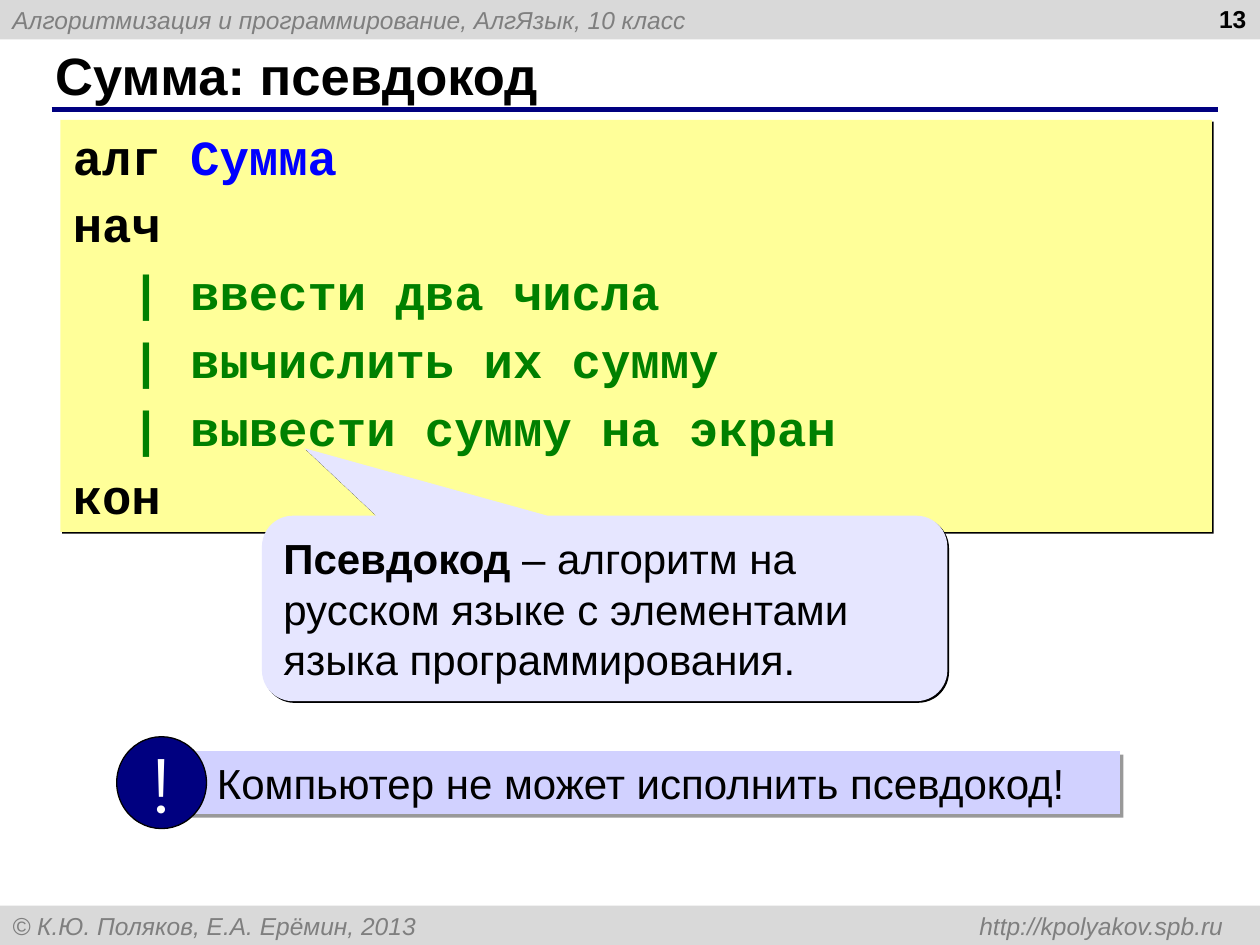
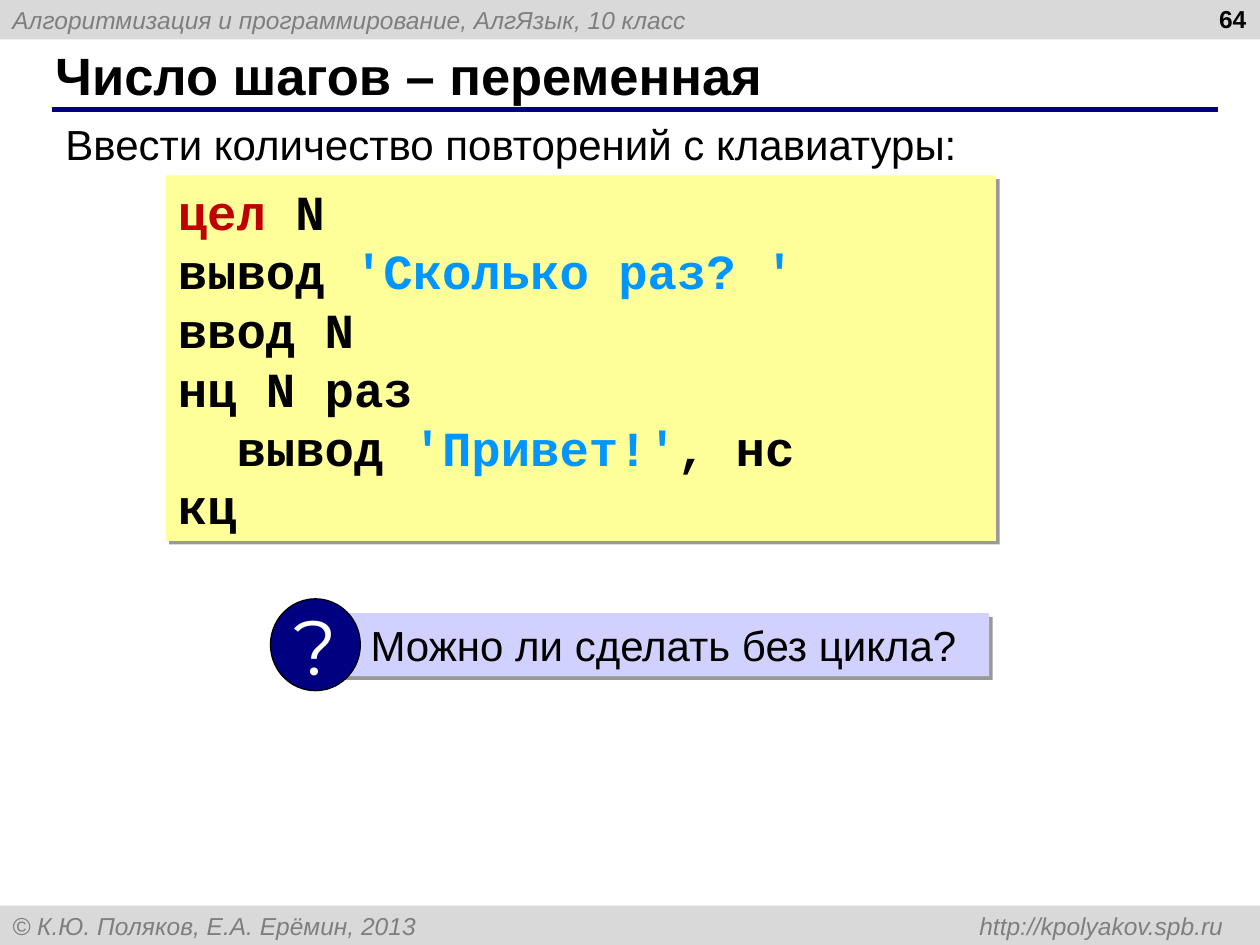
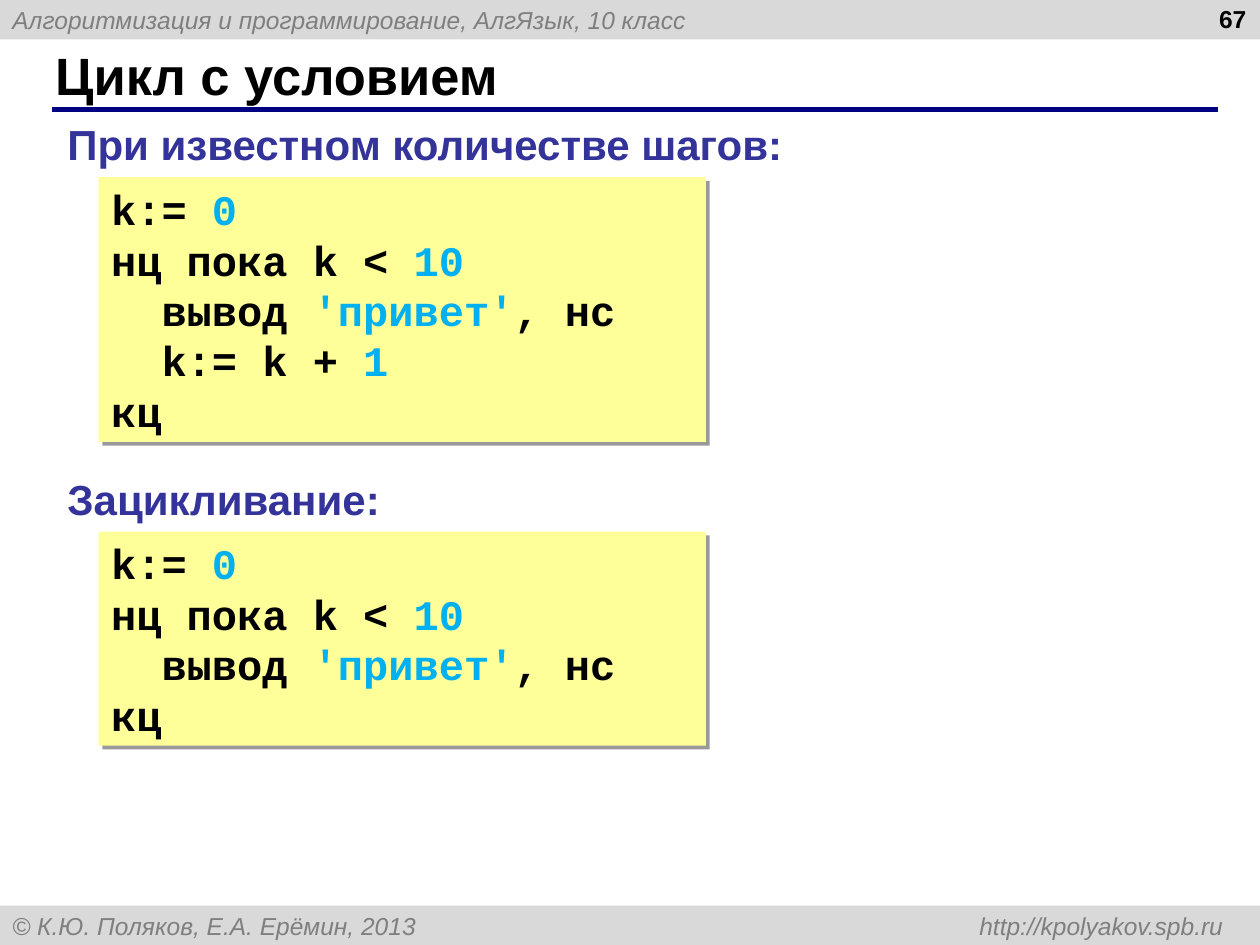
from lxml import etree
from pptx import Presentation
from pptx.dml.color import RGBColor
from pptx.enum.shapes import MSO_CONNECTOR, MSO_SHAPE as SHAPE
from pptx.enum.text import MSO_ANCHOR as ANCHOR, PP_ALIGN as ALIGN
from pptx.oxml.ns import qn
from pptx.util import Pt

PAGE_W, PAGE_H, BAND_H = 720, 540, 22.5
SANS, MONO, ICON = "Arial", "Courier New", "Montserrat"
BLACK, WHITE, NAVY = "000000", "FFFFFF", "000080"
BAND, BAND_TEXT = "D9D9D9", "7F7F7F"
CODE_FILL, CALLOUT_FILL, NOTICE_FILL = "FFFF99", "E6E6FF", "D1D1FF"
HEADING, KEYWORD, NAME = "333399", "C00000", "0000FF"
COMMENT, STRING, LITERAL = "008000", "0095FF", "00B0F0"

COURSE = "Алгоритмизация и программирование, АлгЯзык, 10 класс"
FOOTER = "© К.Ю. Поляков, Е.А. Ерёмин, 2013\thttp://kpolyakov.spb.ru"
SOFT = dict(distance=3, opacity=40)
HARD = dict(distance=1.4, opacity=100)


def color(hex_code):
    return RGBColor.from_string(hex_code)


def write(shape, lines, size=24, font=SANS, ink=BLACK, bold=False, italic=False,
          align=ALIGN.LEFT, anchor=ANCHOR.TOP, gap=0, indent=0, wrap=True, right_tab=None):
    """Each line is a list of spans: plain text or (text, format)."""
    frame = shape.text_frame
    frame.word_wrap = wrap
    frame.vertical_anchor = anchor
    frame.margin_left = Pt(7.2 + indent)
    for number, line in enumerate(lines):
        para = frame.add_paragraph() if number else frame.paragraphs[0]
        para.alignment = align
        if number and gap:
            para.space_before = Pt(gap)
        if right_tab:
            tabs = etree.SubElement(para._p.get_or_add_pPr(), qn("a:tabLst"))
            etree.SubElement(tabs, qn("a:tab"), pos=str(Pt(right_tab)), algn="r")
        for part in line:
            words, look = (part, {}) if isinstance(part, str) else part
            span = para.add_run()
            span.text = words
            span.font.name, span.font.size = font, Pt(size)
            span.font.bold = look.get("bold", bold)
            span.font.italic = italic
            span.font.color.rgb = color(look.get("ink", ink))


def add_panel(page, kind, box, fill, outline=None, shadow=None):
    panel = page.shapes.add_shape(kind, *map(Pt, box))
    panel.fill.solid()
    panel.fill.fore_color.rgb = color(fill)
    if outline:
        panel.line.color.rgb = color(outline)
        panel.line.width = Pt(0.75)
    else:
        panel.line.fill.background()
    panel.shadow.inherit = False
    if shadow:
        effects = panel._element.spPr.find(qn("a:effectLst"))
        cast = etree.SubElement(effects, qn("a:outerShdw"), blurRad="0", algn="ctr",
                                dist=str(Pt(shadow["distance"])), dir=str(45 * 60000),
                                rotWithShape="0")
        tint = etree.SubElement(cast, qn("a:srgbClr"), val=BLACK)
        etree.SubElement(tint, qn("a:alpha"), val=str(shadow["opacity"] * 1000))
    return panel


def add_label(page, box, text, **look):
    write(page.shapes.add_textbox(*map(Pt, box)), [[text]], **look)


def add_band(page, top, text, **look):
    band = add_panel(page, SHAPE.RECTANGLE, (0, top, PAGE_W, BAND_H), BAND)
    write(band, [[text]], size=14, ink=BAND_TEXT, italic=True, anchor=ANCHOR.MIDDLE, **look)


def add_page(deck, title, number):
    page = deck.slides.add_slide(deck.slide_layouts[6])
    # Bands at the top and bottom edges
    add_band(page, 0, COURSE)
    add_band(page, PAGE_H - BAND_H, FOOTER, right_tab=692)
    # Rule under the title
    rule = page.shapes.add_connector(MSO_CONNECTOR.STRAIGHT, Pt(29.5), Pt(62.6), Pt(696.2), Pt(62.6))
    rule.line.color.rgb = color(NAVY)
    rule.line.width = Pt(3)
    etree.SubElement(rule._element.spPr, qn("a:effectLst"))
    # Title and page number
    add_label(page, (24.5, 23.8, 659.5, 37.4), title, size=30, bold=True, anchor=ANCHOR.MIDDLE)
    add_label(page, (551.5, -1.4, 167.8, 37.4), str(number), size=14, bold=True, align=ALIGN.RIGHT)
    return page


def add_code(page, box, lines, shadow=SOFT, **look):
    panel = add_panel(page, SHAPE.RECTANGLE, box, CODE_FILL, shadow=shadow)
    write(panel, lines, font=MONO, bold=True, **look)


def add_callout(page, box, line, tip):
    bubble = add_panel(page, SHAPE.ROUNDED_RECTANGULAR_CALLOUT, box, CALLOUT_FILL, shadow=HARD)
    for position, value in enumerate((*tip, 0.167)):
        bubble.adjustments[position] = value
    write(bubble, [line], anchor=ANCHOR.MIDDLE)


def add_notice(page, left, top, width, sign, text):
    # Bar with the message, then the round badge over its left end
    bar = add_panel(page, SHAPE.RECTANGLE, (left + 36.7, top + 8.2, width - 36.7, 36),
                    NOTICE_FILL, shadow=SOFT)
    write(bar, [[text]], indent=13.3)
    badge = add_panel(page, SHAPE.OVAL, (left, top, 51.3, 52.5), NAVY, outline=BLACK)
    write(badge, [[sign]], size=44, font=ICON, ink=WHITE, align=ALIGN.CENTER,
          anchor=ANCHOR.MIDDLE, wrap=False)


def add_heading(page, left, top, width, text, **look):
    add_label(page, (left, top, width, 36), text, wrap=False, **look)


def pseudocode_page(deck):
    page = add_page(deck, "Сумма: псевдокод", 13)
    steps = ["ввести два числа", "вычислить их сумму", "вывести сумму на экран"]
    lines = [["алг ", ("Сумма", dict(ink=NAME))], ["нач"],
             *[[(f"  | {step}", dict(ink=COMMENT))] for step in steps], ["кон"]]
    add_code(page, (34.5, 68.5, 658, 235.5), lines, shadow=HARD, size=28, gap=5.2)
    add_callout(page, (149.7, 294.7, 391.7, 106),
                [("Псевдокод", dict(bold=True)),
                 " – алгоритм на русском языке с элементами языка программирования."],
                tip=(-0.438, -0.864))
    add_notice(page, 66.7, 421, 573.2, "!", "Компьютер не может исполнить псевдокод!")


def variable_steps_page(deck):
    page = add_page(deck, "Число шагов – переменная", 64)
    text = dict(ink=STRING)
    lines = [[("цел ", dict(ink=KEYWORD)), "N"],
             ["вывод ", ("'Сколько раз? '", text)],
             ["ввод N"],
             ["нц N раз"],
             ["  вывод ", ("'Привет!'", text), ", нс"],
             ["кц"]]
    add_code(page, (94.6, 100.3, 474.5, 208.8), lines, size=28)
    add_heading(page, 30.3, 64.3, 525.6, "Ввести количество повторений с клавиатуры:")
    add_notice(page, 154.6, 342.2, 410.6, "?", "Можно ли сделать без цикла?")


def while_loop_page(deck):
    page = add_page(deck, "Цикл с условием", 67)
    value = dict(ink=LITERAL)
    start = [["k:= ", ("0", value)],
             ["нц пока k < ", ("10", value)],
             ["  вывод ", ("'привет'", value), ", нс"]]
    step, end = ["  k:= k + ", ("1", value)], ["кц"]
    examples = [(64.3, 425.5, "При известном количестве шагов:", [*start, step, end], 151.3),
                (266.8, 193, "Зацикливание:", [*start, end], 122.4)]
    for top, width, heading, lines, height in examples:
        add_code(page, (56.4, top + 37, 347, height), lines, anchor=ANCHOR.MIDDLE)
        add_heading(page, 31.4, top, width, heading, ink=HEADING, bold=True)


def main():
    deck = Presentation()
    deck.slide_width, deck.slide_height = Pt(PAGE_W), Pt(PAGE_H)
    pseudocode_page(deck)
    variable_steps_page(deck)
    while_loop_page(deck)
    deck.save("out.pptx")


if __name__ == "__main__":
    main()
